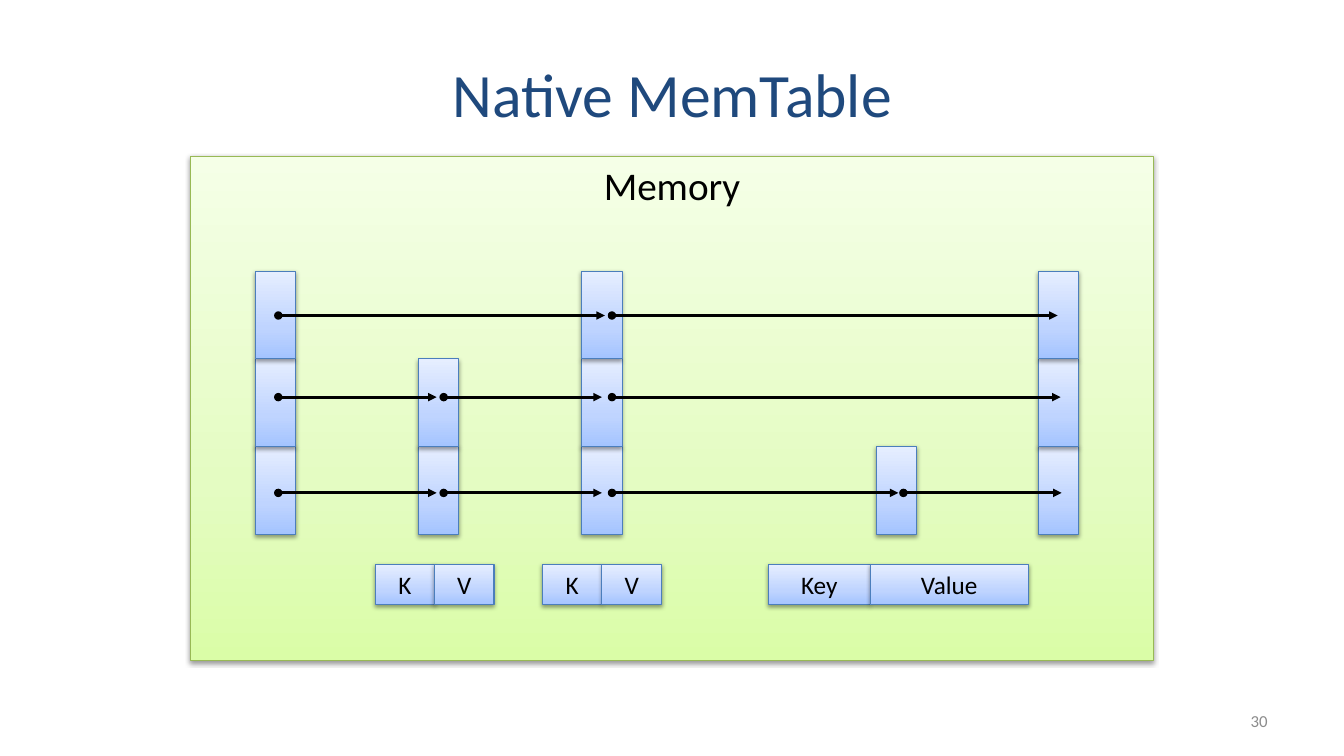
"""Build the Native MemTable slide: a skip list with its key-value entries."""
from lxml import etree
from pptx import Presentation
from pptx.dml.color import RGBColor
from pptx.enum.shapes import MSO_CONNECTOR, MSO_SHAPE
from pptx.enum.text import MSO_ANCHOR, PP_ALIGN
from pptx.oxml import parse_xml
from pptx.oxml.ns import nsdecls, qn
from pptx.util import Inches, Pt

RECTANGLE, STRAIGHT = MSO_SHAPE.RECTANGLE, MSO_CONNECTOR.STRAIGHT
TOP, MIDDLE = MSO_ANCHOR.TOP, MSO_ANCHOR.MIDDLE
CENTER, RIGHT = PP_ALIGN.CENTER, PP_ALIGN.RIGHT
GREEN = ("DAFDA7", "E4FCC2", "F5FFE7")
BLUE = ("A4C4FF", "BFD4FF", "E6EEFF")

deck = Presentation()
deck.slide_width, deck.slide_height = Inches(13.33), Inches(7.5)
page = deck.slides.add_slide(deck.slide_layouts[6])


def write(box, text, size, color, align=CENTER, anchor=MIDDLE):
    frame = box.text_frame
    frame.word_wrap = True
    frame.vertical_anchor = anchor
    para = frame.paragraphs[0]
    para.text = text
    para.alignment = align
    para.font.name, para.font.size = "Calibri", Pt(size)
    para.font.color.rgb = RGBColor.from_string(color)


def add_block(left, top, width, height, shades, outline):
    block = page.shapes.add_shape(
        RECTANGLE, Inches(left), Inches(top), Inches(width), Inches(height))
    block.line.color.rgb = RGBColor.from_string(outline)
    block.line.width = Pt(0.75)
    stops = "".join(
        f'<a:gs pos="{place}000"><a:srgbClr val="{shade}"/></a:gs>'
        for place, shade in zip((0, 35, 100), shades))
    properties = block._element.spPr
    properties.find(qn("a:prstGeom")).addnext(parse_xml(
        f'<a:gradFill {nsdecls("a")} rotWithShape="1"><a:gsLst>{stops}</a:gsLst>'
        '<a:lin ang="16200000" scaled="0"/></a:gradFill>'))
    block.shadow.inherit = False
    properties.find(qn("a:effectLst")).append(parse_xml(
        f'<a:outerShdw {nsdecls("a")} blurRad="{Pt(3.1)}" dist="{Pt(1.6)}" '
        'dir="5400000" rotWithShape="0"><a:srgbClr val="000000">'
        '<a:alpha val="38000"/></a:srgbClr></a:outerShdw>'))
    return block


title = page.shapes.add_textbox(Inches(0.67), Inches(0.3), Inches(12), Inches(1.25))
write(title, "Native MemTable", 44, "1F497D")
number = page.shapes.add_textbox(Inches(9.56), Inches(6.95), Inches(3.11), Inches(0.4))
write(number, "30", 12, "8C8C8C", RIGHT)

memory = add_block(1.89, 1.55, 9.55, 5, GREEN, "98B955")
write(memory, "Memory", 28, "000000", anchor=TOP)

node_height = 0.87
towers = [(2.53, 3), (4.15, 2), (5.77, 3), (8.69, 1), (10.3, 3)]
for left, levels in towers:
    for level in range(levels):
        add_block(left, 4.43 - level * node_height, 0.4, node_height, BLUE, "4B7EBC")

links = {
    3.13: [(2.76, 6), (6.07, 10.49)],
    3.94: [(2.76, 4.33), (4.4, 5.97), (6.07, 10.52)],
    4.89: [(2.76, 4.33), (4.4, 5.97), (6.07, 8.91), (8.96, 10.53)],
}
for height, spans in links.items():
    for start, end in spans:
        arrow = page.shapes.add_connector(
            STRAIGHT, Inches(start), Inches(height), Inches(end), Inches(height))
        arrow.line.color.rgb = RGBColor.from_string("000000")
        arrow.line.width = Pt(2)
        outline = arrow.line._get_or_add_ln()
        etree.SubElement(outline, qn("a:headEnd"), type="oval")
        etree.SubElement(outline, qn("a:tailEnd"), type="triangle")
        etree.SubElement(arrow._element.spPr, qn("a:effectLst"))

entries = [
    (3.72, [("K", 0.59), ("V", 0.59)]),
    (5.38, [("K", 0.59), ("V", 0.59)]),
    (7.62, [("Key", 1.01), ("Value", 1.57)]),
]
for left, cells in entries:
    for label, width in cells:
        cell = add_block(left, 5.6, width, 0.4, BLUE, "4B7EBC")
        write(cell, label, 18, "000000")
        left += width

deck.save("out.pptx")
